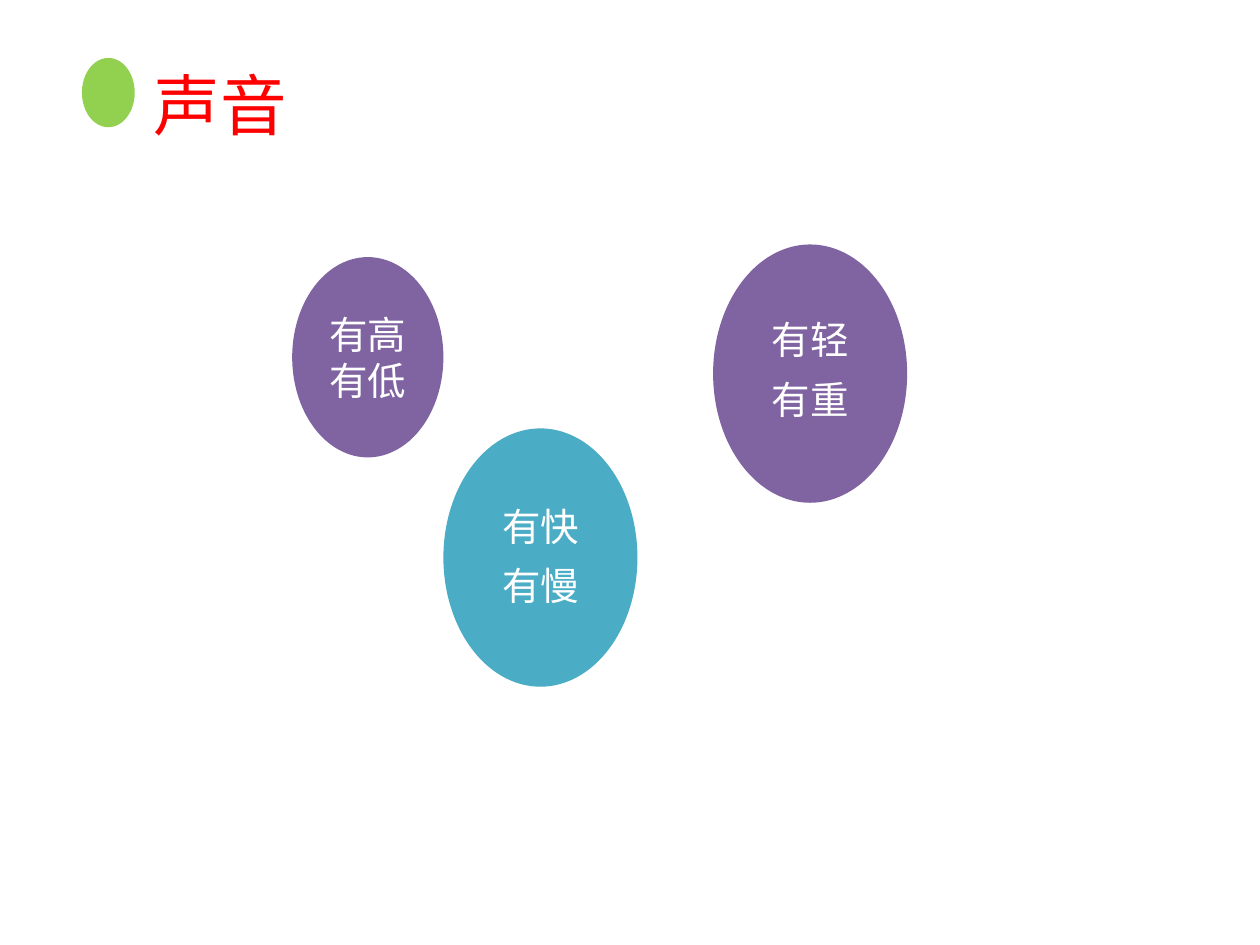
"""Build a slide on the qualities of sound."""
import pptx
import pptx.util
import pptx.dml.color
import pptx.enum.shapes
import pptx.enum.text

Pt = pptx.util.Pt
RGB = pptx.dml.color.RGBColor
ALIGN = pptx.enum.text.PP_ALIGN
ANCHOR = pptx.enum.text.MSO_ANCHOR
OVAL = pptx.enum.shapes.MSO_SHAPE.OVAL

FONT = "Arial"
RED = RGB(0xFF, 0x00, 0x00)
GREEN = RGB(0x92, 0xD0, 0x50)
TEAL = RGB(0x4B, 0xAC, 0xC6)
PURPLE = RGB(0x80, 0x64, 0xA2)
WHITE = RGB(0xFF, 0xFF, 0xFF)

TITLE = ("声音", (46.1, 23, 159.8, 59.8))
DOT = (46.8, 33.1, 30.2, 39.6)
LABELS = [
    ("有快\n有慢", TEAL, (253.4, 244.8, 110.9, 147.6), (268.6, 287.3, 80.6, 18)),
    ("有轻\n有重", PURPLE, (407.5, 139.7, 110.9, 147.6), (421.9, 180.7, 82.1, 18.7)),
    ("有高\n有低", PURPLE, (167, 146.9, 86.4, 114.5), None),
]


def oval(slide, box, fill):
    shape = slide.shapes.add_shape(OVAL, *map(Pt, box))
    shape.shadow.inherit = False
    shape.fill.solid()
    shape.fill.fore_color.rgb = fill
    shape.line.fill.background()
    return shape


def write(shape, text, size, color, anchor, lead=1, gap=0):
    frame = shape.text_frame
    frame.text = text
    frame.word_wrap = True
    frame.auto_size = pptx.enum.text.MSO_AUTO_SIZE.NONE
    frame.vertical_anchor = anchor
    frame.margin_left = frame.margin_right = 0
    frame.margin_top = frame.margin_bottom = 0
    for par in frame.paragraphs:
        par.alignment = ALIGN.CENTER
        par.line_spacing = lead
        par.space_before = Pt(gap)
        for run in par.runs:
            run.font.name = FONT
            run.font.size = Pt(size)
            run.font.color.rgb = color


def main():
    deck = pptx.Presentation()
    deck.slide_width, deck.slide_height = Pt(720), Pt(540)
    slide = deck.slides.add_slide(deck.slide_layouts[5])

    for text, fill, box, area in LABELS:
        shape = oval(slide, box, fill)
        if area:
            label = slide.shapes.add_textbox(*map(Pt, area))
            write(label, text, 22, WHITE, ANCHOR.TOP, gap=7.5)
        else:
            write(shape, text, 22, WHITE, ANCHOR.MIDDLE)

    oval(slide, DOT, GREEN)
    text, box = TITLE
    title = slide.shapes.title
    title.left, title.top, title.width, title.height = map(Pt, box)
    write(title, text, 38, RED, ANCHOR.TOP, lead=1.3)
    deck.save("out.pptx")


if __name__ == "__main__":
    main()
